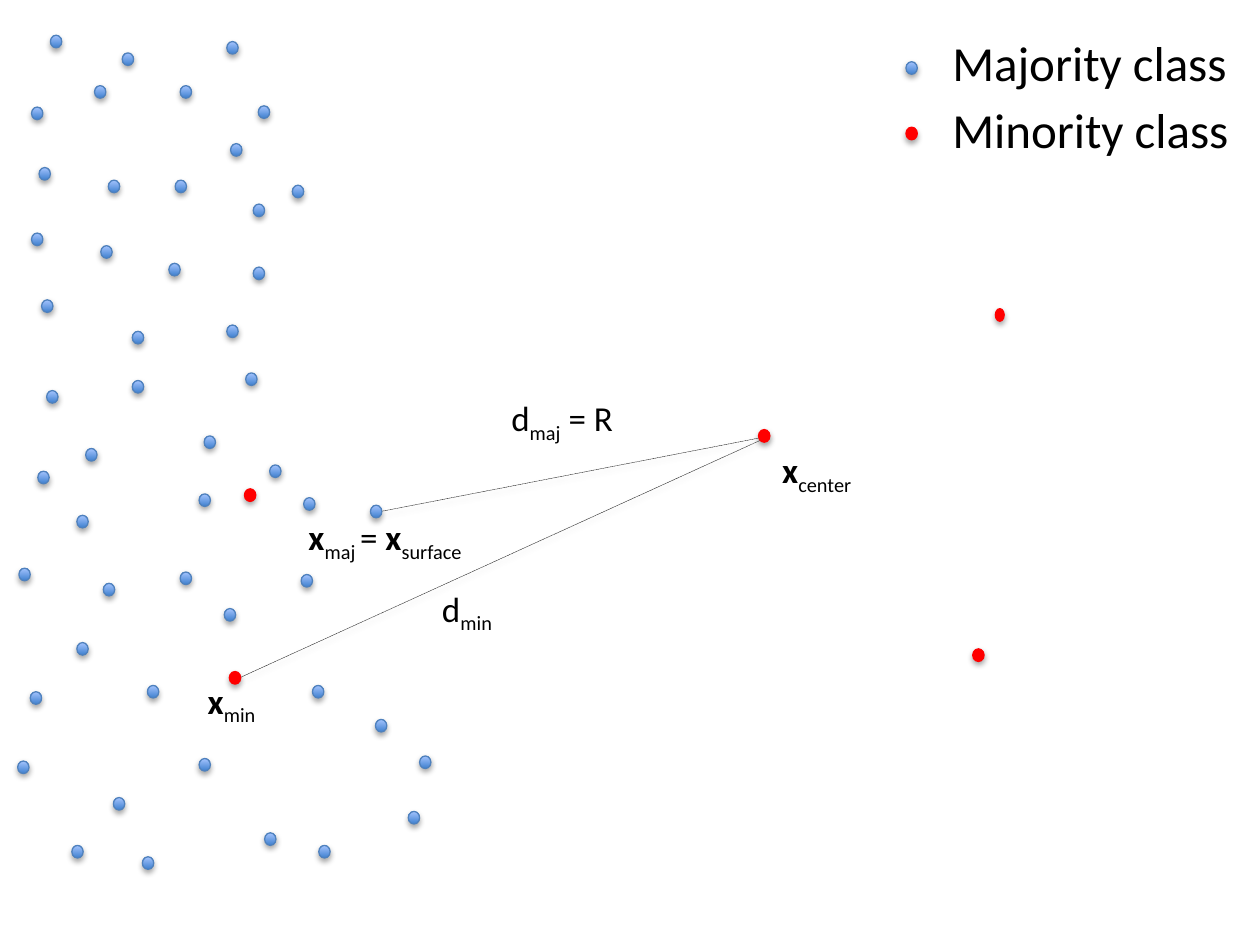
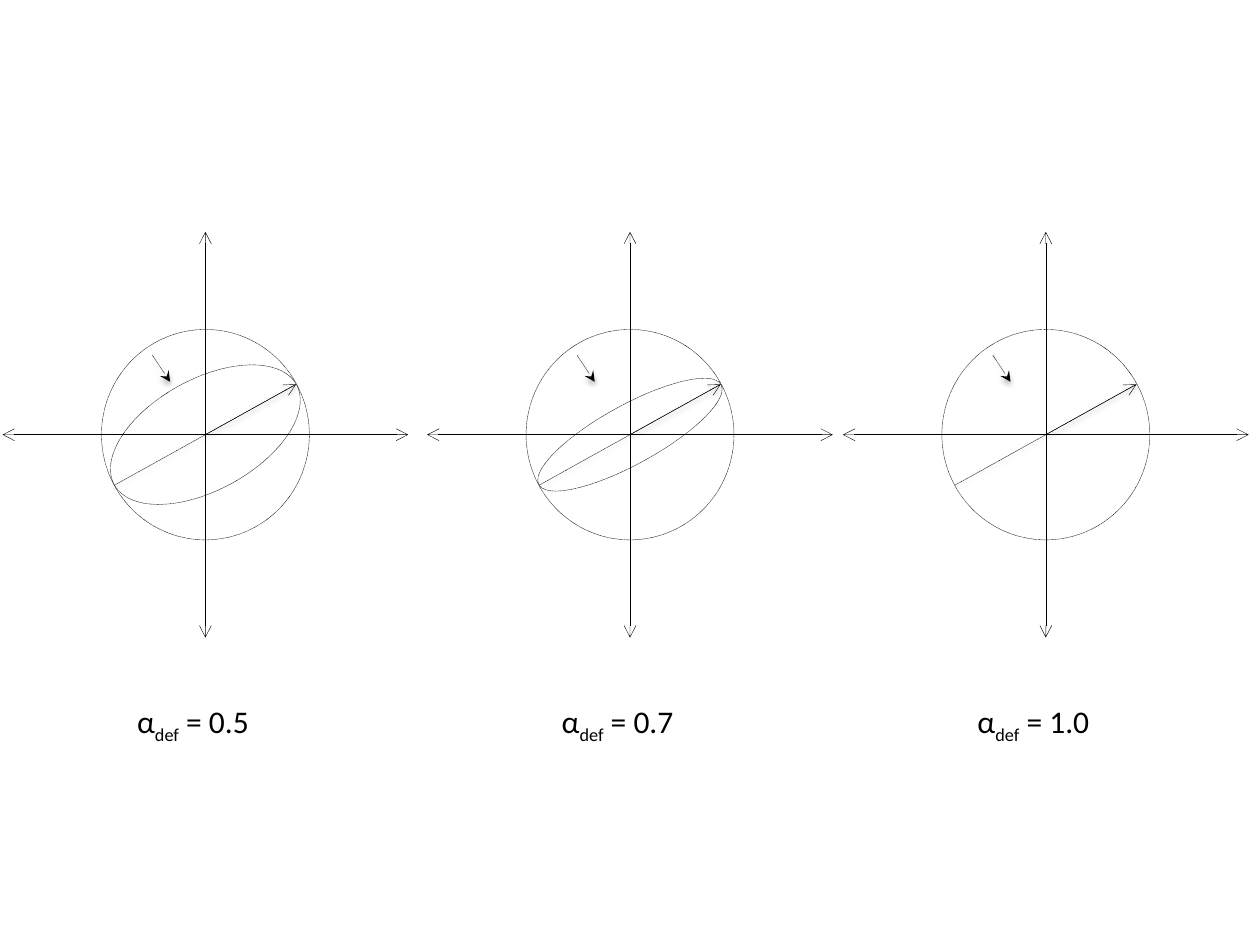
from lxml import etree
from pptx import Presentation
from pptx.dml.color import RGBColor
from pptx.enum.dml import MSO_LINE
from pptx.enum.shapes import MSO_CONNECTOR, MSO_SHAPE
from pptx.enum.text import MSO_AUTO_SIZE
from pptx.oxml.ns import qn
from pptx.util import Cm, Pt

DOT = MSO_LINE.ROUND_DOT
OVAL = MSO_SHAPE.OVAL
STRAIGHT = MSO_CONNECTOR.STRAIGHT
FIT = MSO_AUTO_SIZE.SHAPE_TO_FIT_TEXT

COLORS = {"black": "000000", "white": "FFFFFF", "minority": "FF0000",
          "majority_line": "4F81BD", "majority_low": "3F80CE", "majority_high": "A4C4FF"}
FONT = "Calibri"
CM_PER_UNIT = 2.54
DOT_W, DOT_H = 0.09, 0.1

MAJORITY = [
    (0.61, 5.1), (0.37, 3.1), (1.58, 6.02), (0.3, 3.74), (2.32, 1.47), (3.24, 6.44),
    (0.15, 4.51), (0.82, 4.63), (0.14, 6.04), (1.8, 2.58), (2.14, 3.69), (1.8, 0.33),
    (1.43, 4.54), (0.61, 4.09), (3.33, 6), (1.95, 2.96), (0.4, 0.28), (2.01, 1.62),
    (1.39, 1.43), (1.34, 2.09), (0.68, 3.56), (0.24, 5.49), (0.25, 0.85), (0.9, 6.33),
    (2.01, 2.12), (2.41, 3.95), (0.86, 1.43), (0.8, 1.95), (1.43, 0.68), (2.48, 5.44),
    (2.05, 0.84), (1.17, 5.44), (2.1, 6.61), (2.53, 6.71), (0.25, 1.85), (0.33, 2.38),
    (1.05, 3.02), (1.05, 2.63), (1.58, 3.92), (0.75, 0.68), (1.13, 6.8), (2.94, 4.01),
    (2.98, 5.71), (0.97, 0.42), (0.31, 1.33), (0.57, 6.71), (1.78, 4.83), (2.39, 4.56),
    (1.83, 1.14), (1.62, 3.46),
]
MINORITY = [(6.02, 3.41, DOT_W), (7.9, 2.45, 0.07), (7.72, 5.15, DOT_W),
            (1.94, 3.88, DOT_W), (1.82, 5.33, DOT_W)]
DISTANCES = [((6.11, 3.46), (1.9, 5.38)), ((3.02, 4.06), (6.11, 3.46))]
LABELS = [
    ((6.11, 3.51, 1, 0.44), [("x", "bold"), ("center", "sub")]),
    ((2.35, 4.04, 1.93, 0.61), [("x", "bold"), ("maj ", "sub"), ("= ", ""),
                                ("x", "bold"), ("surface", "sub")]),
    ((3.96, 3.1, 1.82, 0.44), [("d", ""), ("maj", "sub"), (" = R", "")]),
    ((1.55, 5.34, 0.76, 0.44), [("x", "bold"), ("min", "sub")]),
    ((3.41, 4.61, 0.84, 0.44), [("d", ""), ("min", "sub")]),
]
LEGEND = [("Majority class", "majority", 0.49, 0.21, 2.4),
          ("Minority class", "minority", 1.01, 0.74, 2.42)]

PANELS = [(1.63, "0.5", 0.88), (5, "0.7", 0.47), (8.3, "1.0", None)]
CENTER_Y = 3.45
CIRCLE_W, CIRCLE_H = 1.65, 1.67
AXIS = 1.61
TIP_X, TIP_Y = 0.72, 0.4
TILT = 331.2


def cm(*values):
    return [Cm(v * CM_PER_UNIT) for v in values]


def rgb(name):
    return RGBColor.from_string(COLORS[name])


def add_shadow(effects, opacity, distance):
    shadow = etree.SubElement(effects, qn("a:outerShdw"), blurRad="40000",
                              dist=str(distance), dir="5400000", rotWithShape="0")
    color = etree.SubElement(shadow, qn("a:srgbClr"), val=COLORS["black"])
    etree.SubElement(color, qn("a:alpha"), val=str(opacity * 1000))


def add_oval(shapes, box, line, width):
    sp = shapes.add_shape(OVAL, *cm(*box))
    sp.shadow.inherit = False
    sp.line.color.rgb = rgb(line)
    sp.line.width = Pt(width)
    return sp


def add_point(shapes, kind, x, y, w=DOT_W):
    minority = kind == "minority"
    sp = add_oval(shapes, (x, y, w, DOT_H), "minority" if minority else "majority_line", 0.75)
    if minority:
        sp.fill.solid()
        sp.fill.fore_color.rgb = rgb("minority")
    else:
        sp.fill.gradient()
        sp.fill.gradient_angle = 90
        for stop, name in zip(sp.fill.gradient_stops, ("majority_low", "majority_high")):
            stop.color.rgb = rgb(name)
    add_shadow(sp._element.spPr.find(qn("a:effectLst")), 35, 23000)


def add_outline(shapes, center_x, w, h, rotation=0):
    sp = add_oval(shapes, (center_x - w / 2, CENTER_Y - h / 2, w, h), "black", 0.25)
    sp.fill.solid()
    sp.fill.fore_color.rgb = rgb("white")
    sp.line.dash_style = DOT
    sp.rotation = rotation


def add_line(shapes, start, end, head=None, tail=None, dotted=True, shadow=True):
    line = shapes.add_connector(STRAIGHT, *cm(*start, *end))
    line.line.color.rgb = rgb("black")
    line.line.width = Pt(0.25)
    if dotted:
        line.line.dash_style = DOT
    props = line._element.spPr
    for tag, kind in (("a:headEnd", head), ("a:tailEnd", tail)):
        if kind:
            etree.SubElement(props.find(qn("a:ln")), qn(tag), type=kind)
    effects = etree.SubElement(props, qn("a:effectLst"))
    if shadow:
        add_shadow(effects, 38, 20000)


def add_text(shapes, box, runs, size, wrap=True):
    tf = shapes.add_textbox(*cm(*box)).text_frame
    tf.word_wrap = wrap
    tf.auto_size = FIT
    for text, style in runs:
        r = tf.paragraphs[0].add_run()
        r.text = text
        r.font.name = FONT
        r.font.size = Pt(size)
        r.font.color.rgb = rgb("black")
        if style == "bold":
            r.font.bold = True
        if style == "sub":
            r._r.get_or_add_rPr().set("baseline", "-25000")


def build_classes(shapes):
    for start, end in DISTANCES:
        add_line(shapes, start, end)
    for x, y in MAJORITY:
        add_point(shapes, "majority", x, y)
    for x, y, w in MINORITY:
        add_point(shapes, "minority", x, y, w)
    legend = shapes.add_group_shape().shapes
    for name, kind, point_y, text_y, w in LEGEND:
        add_point(legend, kind, 7.19, point_y)
        add_text(legend, (7.46, text_y, w, 0.57), [(name, "")], 28, wrap=False)
    for box, runs in LABELS:
        add_text(shapes, box, runs, 20)


def build_panel(shapes, x, alpha, ellipse_h):
    center, tip = (x, CENTER_Y), (x + TIP_X, CENTER_Y - TIP_Y)
    add_outline(shapes, x, CIRCLE_W, CIRCLE_H)
    if ellipse_h:
        add_outline(shapes, x, CIRCLE_W, ellipse_h, TILT)
    for dx, dy in ((AXIS, 0), (0, AXIS)):
        add_line(shapes, (x - dx, CENTER_Y - dy), (x + dx, CENTER_Y + dy),
                 "arrow", "arrow", shadow=False)
    add_line(shapes, (x - TIP_X, CENTER_Y + TIP_Y), tip)
    add_line(shapes, center, tip, tail="arrow", dotted=False)
    add_line(shapes, (x - 0.42, 2.82), (x - 0.28, 3.03), tail="stealth")
    add_text(shapes, (x - 0.64, 5.52, 1.13, 0.4),
             [("α", ""), ("def", "sub"), (" = " + alpha, "")], 18, wrap=False)


prs = Presentation()
prs.slide_width, prs.slide_height = cm(10, 7.5)
blank = prs.slide_layouts[6]
build_classes(prs.slides.add_slide(blank).shapes)
s = prs.slides.add_slide(blank)
for panel in PANELS:
    build_panel(s.shapes, *panel)
prs.save("out.pptx")
